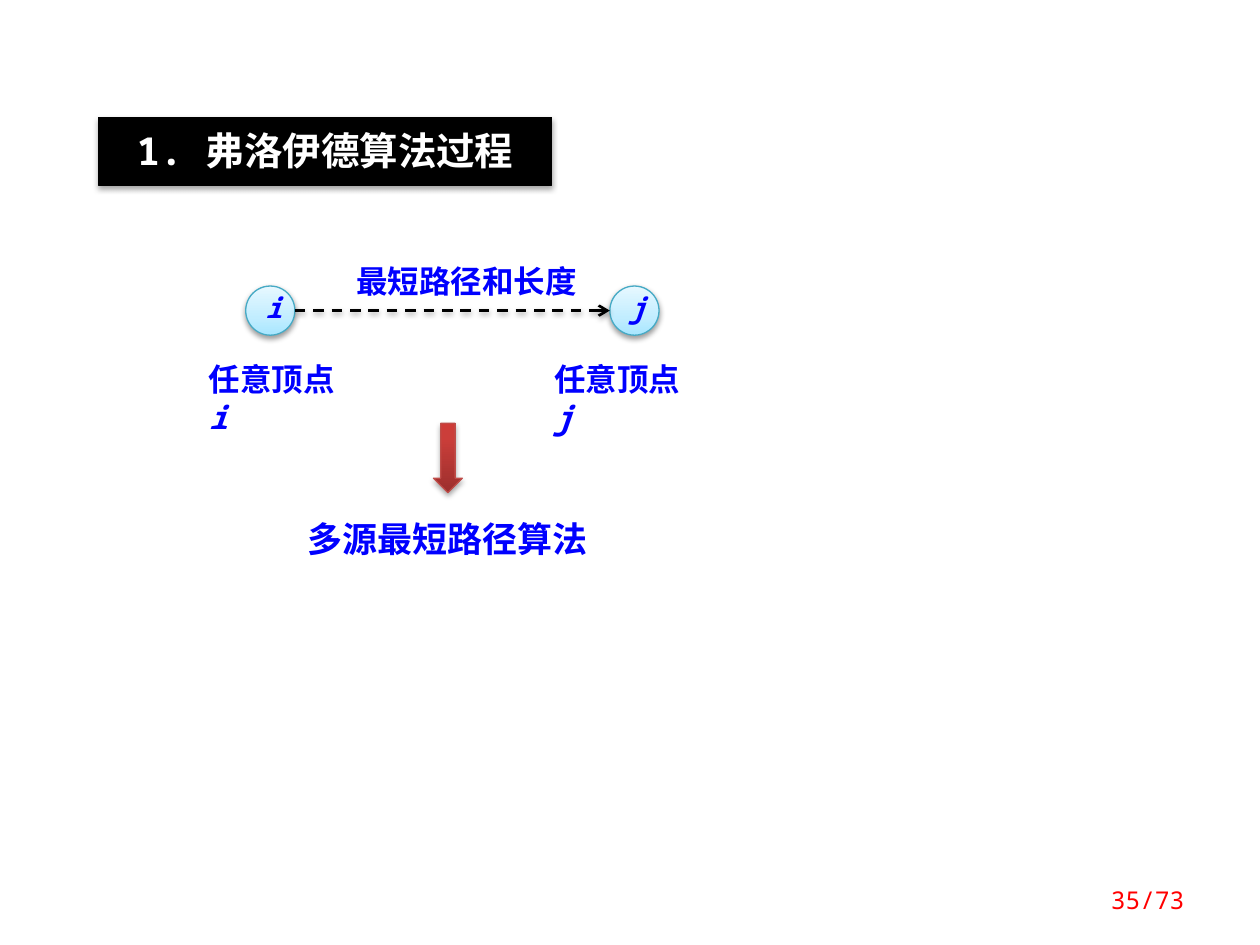
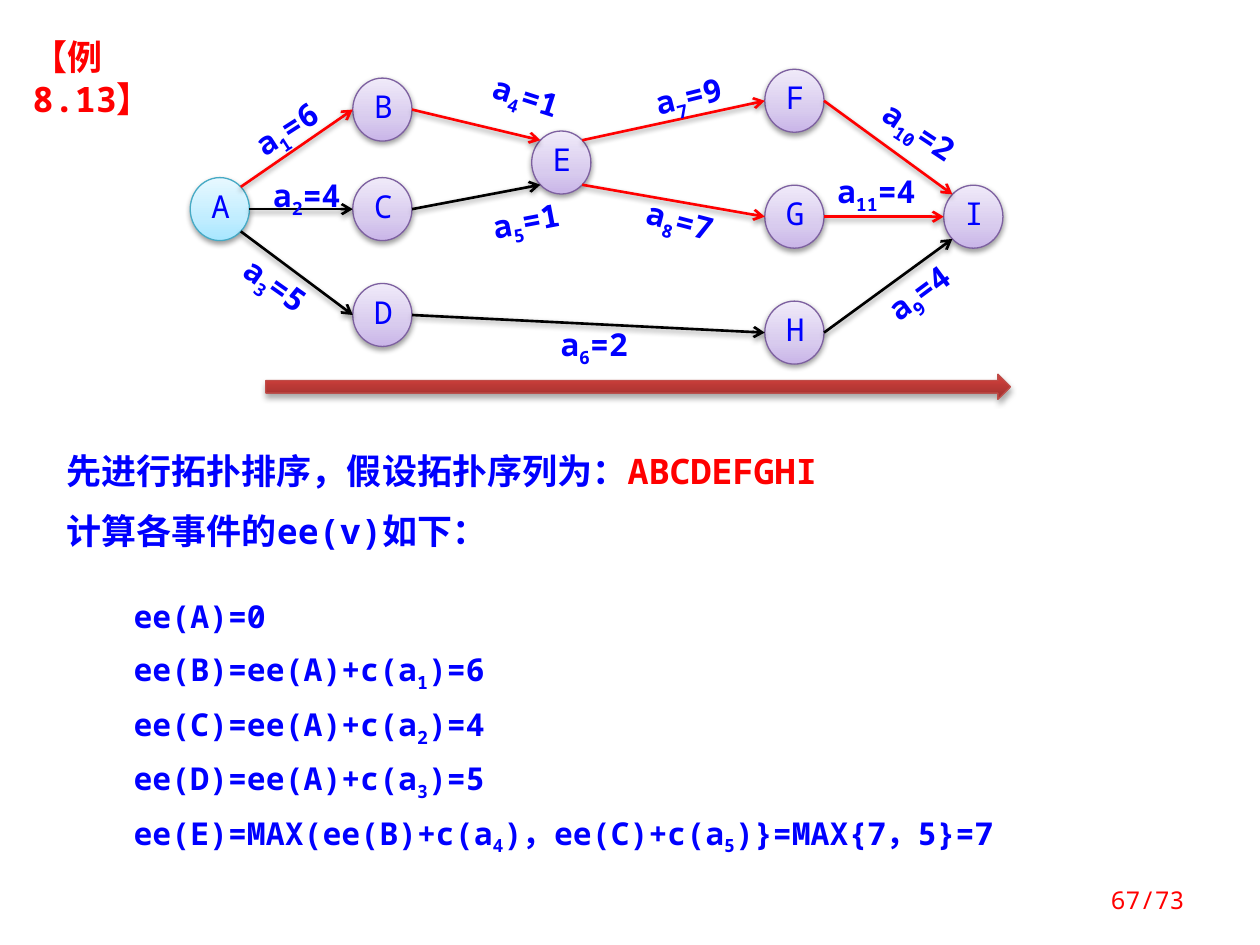
from dataclasses import dataclass
from math import cos, radians, sin

from lxml import etree
from pptx import Presentation
from pptx.dml.color import RGBColor
from pptx.enum.dml import MSO_LINE
from pptx.enum.shapes import MSO_CONNECTOR, MSO_SHAPE
from pptx.enum.text import MSO_ANCHOR, MSO_AUTO_SIZE, PP_ALIGN
from pptx.oxml.ns import qn
from pptx.util import Emu, Pt

RECTANGLE, OVAL = MSO_SHAPE.RECTANGLE, MSO_SHAPE.OVAL
DOWN_ARROW, RIGHT_ARROW = MSO_SHAPE.DOWN_ARROW, MSO_SHAPE.RIGHT_ARROW
STRAIGHT, DASH = MSO_CONNECTOR.STRAIGHT, MSO_LINE.DASH
LEFT, CENTER, RIGHT, JUSTIFY = PP_ALIGN.LEFT, PP_ALIGN.CENTER, PP_ALIGN.RIGHT, PP_ALIGN.JUSTIFY
TOP, MIDDLE = MSO_ANCHOR.TOP, MSO_ANCHOR.MIDDLE
GROW, FIXED = MSO_AUTO_SIZE.SHAPE_TO_FIT_TEXT, MSO_AUTO_SIZE.NONE

EMU_PER_PX = 9144
TITLE_ONLY = 5
MONO, SANS = "Noto Sans Mono", "Noto Sans CJK SC"
PAGE_TOTAL = 73

BLACK = RGBColor(0x00, 0x00, 0x00)
WHITE = RGBColor(0xFF, 0xFF, 0xFF)
RED = RGBColor(0xFF, 0x00, 0x00)
BLUE = RGBColor(0x00, 0x00, 0xFF)


@dataclass(frozen=True)
class Paint:
    stops: tuple[tuple[int, RGBColor], ...]
    outline: RGBColor


@dataclass(frozen=True)
class Shadow:
    opacity: int
    distance: int


@dataclass(frozen=True)
class Span:
    text: str
    subscript: bool = False
    italic: bool = False
    color: RGBColor | None = None


@dataclass(frozen=True)
class Node:
    name: str
    left: int
    top: int
    paint: Paint


@dataclass(frozen=True)
class Edge:
    start: str
    start_site: int
    end: str
    end_site: int
    color: RGBColor


@dataclass(frozen=True)
class Label:
    text: str
    left: int
    top: int
    rotation: float = 0


CYAN_PAINT = Paint(((0, RGBColor(0xA7, 0xE6, 0xFF)), (35, RGBColor(0xC1, 0xED, 0xFF)),
                    (100, RGBColor(0xE7, 0xF8, 0xFF))), RGBColor(0x46, 0xAA, 0xC5))
PURPLE_PAINT = Paint(((0, RGBColor(0xC9, 0xB5, 0xE8)), (35, RGBColor(0xD8, 0xCB, 0xEE)),
                      (100, RGBColor(0xF0, 0xEA, 0xF9))), RGBColor(0x7D, 0x60, 0xA0))
RED_PAINT = Paint(((0, RGBColor(0x9C, 0x2F, 0x2D)), (80, RGBColor(0xCB, 0x3E, 0x3A)),
                   (100, RGBColor(0xCE, 0x3B, 0x37))), RGBColor(0xBF, 0x4C, 0x48))
SOFT_SHADOW = Shadow(38, 20000)
BLOCK_SHADOW = Shadow(35, 23000)

TOP_LEFT, LEFT_SITE, BOTTOM_LEFT, BOTTOM_RIGHT, RIGHT_SITE, TOP_RIGHT = 1, 2, 3, 5, 6, 7

NODES = (
    Node("A", 151, 141, CYAN_PAINT),
    Node("B", 280, 62, PURPLE_PAINT),
    Node("C", 280, 141, PURPLE_PAINT),
    Node("D", 280, 225, PURPLE_PAINT),
    Node("E", 422, 104, PURPLE_PAINT),
    Node("F", 607, 55, PURPLE_PAINT),
    Node("G", 607, 147, PURPLE_PAINT),
    Node("H", 607, 239, PURPLE_PAINT),
    Node("I", 749, 147, PURPLE_PAINT),
)
EDGES = (
    Edge("A", TOP_RIGHT, "B", LEFT_SITE, RED),
    Edge("A", RIGHT_SITE, "C", LEFT_SITE, BLACK),
    Edge("A", BOTTOM_RIGHT, "D", LEFT_SITE, BLACK),
    Edge("B", RIGHT_SITE, "E", TOP_LEFT, RED),
    Edge("C", RIGHT_SITE, "E", BOTTOM_LEFT, BLACK),
    Edge("D", RIGHT_SITE, "H", LEFT_SITE, BLACK),
    Edge("E", TOP_RIGHT, "F", LEFT_SITE, RED),
    Edge("E", BOTTOM_RIGHT, "G", LEFT_SITE, RED),
    Edge("F", RIGHT_SITE, "I", TOP_LEFT, RED),
    Edge("G", RIGHT_SITE, "I", LEFT_SITE, RED),
    Edge("H", RIGHT_SITE, "I", BOTTOM_LEFT, BLACK),
)
LABELS = (
    Label("a~1~=6", 187, 90, 327.3),
    Label("a~2~=4", 203, 143),
    Label("a~3~=5", 178, 214, 35.2),
    Label("a~4~=1", 377, 64, 17.8),
    Label("a~5~=1", 377, 163, 349.2),
    Label("a~6~=2", 431, 261),
    Label("a~7~=9", 506, 64, 346),
    Label("a~8~=7", 499, 163, 14.7),
    Label("a~9~=4", 689, 220, 323.4),
    Label("a~10~=2", 689, 92, 33.4),
    Label("a~11~=4", 655, 140),
)
EARLIEST_TIMES = (
    "ee(A)=0",
    "ee(B)=ee(A)+c(a~1~)=6",
    "ee(C)=ee(A)+c(a~2~)=4",
    "ee(D)=ee(A)+c(a~3~)=5",
    "ee(E)=MAX(ee(B)+c(a~4~)，ee(C)+c(a~5~)}=MAX{7，5}=7",
)


def px(length: int) -> Emu:
    return Emu(length * EMU_PER_PX)


def place(left: int, top: int, width: int, height: int) -> tuple[Emu, ...]:
    return px(left), px(top), px(width), px(height)


def subscripted(text: str) -> list[Span]:
    return [Span(part, subscript=index % 2 == 1) for index, part in enumerate(text.split("~"))]


def write(box, *lines, size: int = 18, color: RGBColor = BLUE, bold: bool = True,
          font: str = MONO, align=LEFT, anchor=TOP, fit=GROW, line_spacing: float = 1,
          gap: int = 0, insets: tuple[int, int, int, int] = (10, 5, 10, 5)) -> None:
    frame = box.text_frame
    frame.word_wrap = True
    frame.auto_size = fit
    frame.vertical_anchor = anchor
    (frame.margin_left, frame.margin_top,
     frame.margin_right, frame.margin_bottom) = map(px, insets)
    for index, line in enumerate(lines):
        para = frame.add_paragraph() if index else frame.paragraphs[0]
        para.alignment = align
        para.line_spacing = line_spacing
        para.space_before = Pt(gap if index else 0)
        for span in [Span(line)] if isinstance(line, str) else line:
            run = para.add_run()
            run.text = span.text
            run.font.size = Pt(size)
            run.font.name = font
            run.font.bold = bold
            run.font.italic = span.italic
            run.font.color.rgb = span.color or color
            properties = run.font._element
            etree.SubElement(properties, qn("a:ea"), typeface=font)
            if span.subscript:
                properties.set("baseline", "-25000")


def add_text(page, left: int, top: int, width: int, height: int, *lines, **style):
    box = page.shapes.add_textbox(*place(left, top, width, height))
    write(box, *lines, **style)
    return box


def add_shadow(shape, shadow: Shadow) -> None:
    effects = etree.SubElement(shape.element.spPr, qn("a:effectLst"))
    outer = etree.SubElement(effects, qn("a:outerShdw"), blurRad="40000",
                             dist=str(shadow.distance), dir="5400000", rotWithShape="0")
    color = etree.SubElement(outer, qn("a:srgbClr"), val=str(BLACK))
    etree.SubElement(color, qn("a:alpha"), val=str(shadow.opacity * 1000))


def add_block(page, kind, left: int, top: int, width: int, height: int,
              paint: Paint, shadow: Shadow):
    shape = page.shapes.add_shape(kind, *place(left, top, width, height))
    shape.fill.gradient()
    shape.fill.gradient_angle = 90
    stops = shape.element.spPr.find(".//" + qn("a:gsLst"))
    for stop in list(stops):
        stops.remove(stop)
    for position, color in paint.stops:
        stop = etree.SubElement(stops, qn("a:gs"), pos=str(position * 1000))
        etree.SubElement(stop, qn("a:srgbClr"), val=str(color))
    shape.line.color.rgb = paint.outline
    shape.line.width = Pt(0.75)
    add_shadow(shape, shadow)
    return shape


def add_node(page, node: Node, width: int, height: int, line, **style):
    oval = add_block(page, OVAL, node.left, node.top, width, height, node.paint, SOFT_SHADOW)
    write(oval, line, anchor=MIDDLE, fit=FIXED, line_spacing=0.8, **style)
    return oval


def site_point(oval, site: int) -> tuple[Emu, Emu]:
    angle = radians(90 + 45 * site)
    return (Emu(round(oval.left + oval.width * (1 + cos(angle)) / 2)),
            Emu(round(oval.top + oval.height * (1 - sin(angle)) / 2)))


def add_arrow(page, start, start_site: int, end, end_site: int,
              color: RGBColor, dash=None) -> None:
    arrow = page.shapes.add_connector(STRAIGHT, *site_point(start, start_site),
                                      *site_point(end, end_site))
    arrow.line.color.rgb = color
    arrow.line.width = Pt(1.5)
    if dash:
        arrow.line.dash_style = dash
    etree.SubElement(arrow.element.spPr.find(qn("a:ln")), qn("a:tailEnd"), type="arrow")
    add_shadow(arrow, SOFT_SHADOW)
    joints = arrow.element.find(".//" + qn("p:cNvCxnSpPr"))
    for tag, oval, site in (("a:stCxn", start, start_site), ("a:endCxn", end, end_site)):
        etree.SubElement(joints, qn(tag), id=str(oval.shape_id), idx=str(site))


def add_page(deck, number: int, title: str, area: tuple[int, int, int, int], **style):
    page = deck.slides.add_slide(deck.slide_layouts[TITLE_ONLY])
    heading = page.shapes.title
    heading.left, heading.top, heading.width, heading.height = place(*area)
    write(heading, title, fit=FIXED, **style)
    add_text(page, 852, 694, 98, 40, f"{number}/{PAGE_TOTAL}", size=14, color=RED,
             bold=False, align=RIGHT, anchor=MIDDLE, fit=FIXED)
    return page


def build_floyd_page(deck) -> None:
    page = add_page(deck, 35, "1. 弗洛伊德算法过程", (78, 93, 360, 54), size=22, color=WHITE,
                    align=CENTER, insets=(10, 8, 10, 8))
    banner = page.shapes.title
    banner.fill.solid()
    banner.fill.fore_color.rgb = BLACK
    banner.line.color.rgb = BLACK
    banner.line.width = Pt(0.75)
    add_shadow(banner, BLOCK_SHADOW)

    ends = []
    for name, node_left, caption_left in (("i", 195, 156), ("j", 484, 430)):
        letter = Span(name, italic=True)
        ends.append(add_node(page, Node(name, node_left, 227, CYAN_PAINT), 39, 39,
                             [letter], size=16))
        add_text(page, caption_left, 281, 141, 40, [Span("任意顶点"), letter],
                 insets=(10, 5, 20, 5))
    add_arrow(page, ends[0], RIGHT_SITE, ends[1], LEFT_SITE, BLACK, DASH)
    add_text(page, 273, 203, 203, 40, "最短路径和长度")
    add_block(page, DOWN_ARROW, 344, 336, 23, 55, RED_PAINT, BLOCK_SHADOW)
    add_text(page, 234, 406, 258, 44, "多源最短路径算法", size=20, font=SANS)


def build_event_page(deck) -> None:
    page = add_page(deck, 67, "【例8.13】", (16, 23, 156, 44), size=20, color=RED)
    panel = page.shapes.add_shape(RECTANGLE, *place(82, 465, 738, 221))
    panel.fill.solid()
    panel.fill.fore_color.rgb = WHITE
    panel.line.fill.background()
    panel.shadow.inherit = False
    write(panel, *map(subscripted, EARLIEST_TIMES), align=JUSTIFY,
          line_spacing=0.9, gap=9, insets=(24, 12, 10, 12))
    add_text(page, 43, 352, 843, 94,
             [Span("先进行拓扑排序，假设拓扑序列为："), Span("ABCDEFGHI", color=RED)],
             "计算各事件的ee(v)如下：", size=20, gap=10)
    add_block(page, RIGHT_ARROW, 211, 297, 591, 20, RED_PAINT, BLOCK_SHADOW)

    ovals = {node.name: add_node(page, node, 47, 50, node.name, bold=False, align=CENTER)
             for node in NODES}
    for edge in EDGES:
        add_arrow(page, ovals[edge.start], edge.start_site,
                  ovals[edge.end], edge.end_site, edge.color)
    for label in LABELS:
        box = add_text(page, label.left, label.top, 81, 25, subscripted(label.text),
                       align=CENTER, line_spacing=0.8, insets=(0, 0, 0, 0))
        box.rotation = label.rotation


def main() -> None:
    deck = Presentation()
    deck.slide_width, deck.slide_height = px(1000), px(750)
    build_floyd_page(deck)
    build_event_page(deck)
    deck.save("out.pptx")


if __name__ == "__main__":
    main()
